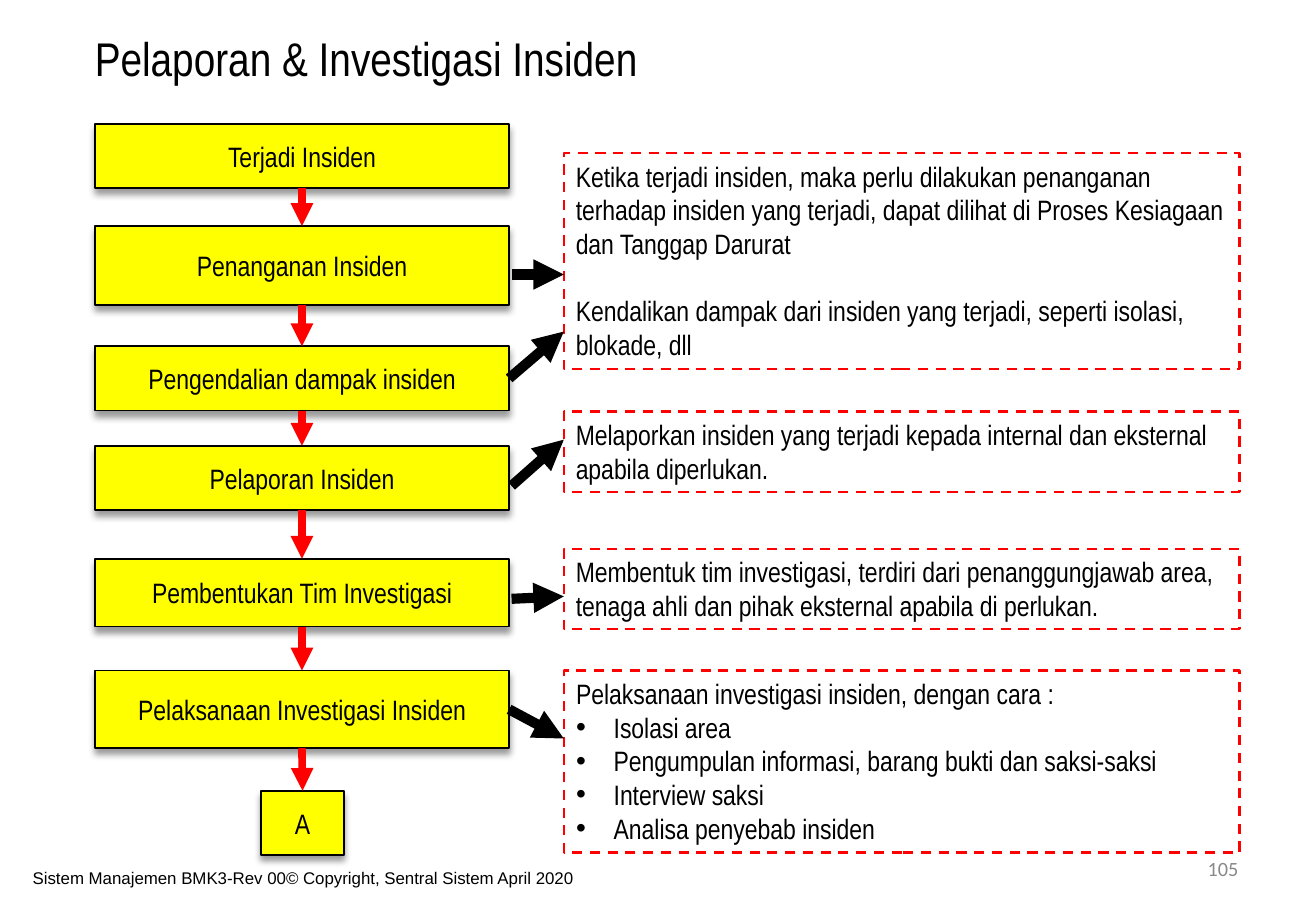
from dataclasses import dataclass

from lxml import etree
from pptx import Presentation
from pptx.dml.color import RGBColor
from pptx.enum import dml, shapes, text
from pptx.oxml.ns import qn
from pptx.util import Inches, Pt


@dataclass(frozen=True)
class Theme:
    black: str = "000000"
    red: str = "FF0000"
    yellow: str = "FFFF00"
    grey: str = "898989"
    narrow: str = "Arial Narrow"
    title_size: float = 28
    text_size: float = 16.6
    number_size: float = 12
    footer_size: float = 10
    line_pitch: float = 19.9


@dataclass(frozen=True)
class Box:
    left: float
    top: float
    width: float
    height: float

    @property
    def lengths(self) -> list:
        return [Inches(v) for v in (self.left, self.top, self.width, self.height)]


@dataclass(frozen=True)
class Step:
    label: str
    box: Box


@dataclass(frozen=True)
class Note:
    paragraphs: tuple[str, ...]
    top: float
    height: float
    bulleted: bool = False


@dataclass(frozen=True)
class SideArrow:
    step: int
    start_y: float
    end_y: float


THEME = Theme()
STEP_LEFT, STEP_WIDTH = 0.78, 3.41
NOTE_LEFT, NOTE_WIDTH = 4.64, 5.56
ARROW_LEFT = 4.21
JOIN_TOLERANCE = 0.03

STEPS = [
    Step(label, Box(STEP_LEFT, top, STEP_WIDTH, height))
    for label, top, height in (
        ("Terjadi Insiden", 1.02, 0.53),
        ("Penanganan Insiden", 1.86, 0.65),
        ("Pengendalian dampak insiden", 2.85, 0.53),
        ("Pelaporan Insiden", 3.67, 0.53),
        ("Pembentukan Tim Investigasi", 4.6, 0.56),
        ("Pelaksanaan Investigasi Insiden", 5.52, 0.64),
    )
] + [Step("A", Box(2.15, 6.51, 0.68, 0.53))]

NOTES = [
    Note(("Ketika terjadi insiden, maka perlu dilakukan penanganan terhadap insiden "
          "yang terjadi, dapat dilihat di Proses Kesiagaan dan Tanggap Darurat",
          "Kendalikan dampak dari insiden yang terjadi, seperti isolasi, blokade, dll"),
         1.26, 1.78),
    Note(("Melaporkan insiden yang terjadi kepada internal dan eksternal "
          "apabila diperlukan.",), 3.39, 0.66),
    Note(("Membentuk tim investigasi, terdiri dari penanggungjawab area, "
          "tenaga ahli dan pihak eksternal apabila di perlukan.",), 4.52, 0.66),
    Note(("Pelaksanaan investigasi insiden, dengan cara :",
          "Isolasi area",
          "Pengumpulan informasi, barang bukti dan saksi-saksi",
          "Interview saksi",
          "Analisa penyebab insiden"), 5.52, 1.5, bulleted=True),
]

SIDE_ARROWS = [
    SideArrow(1, 2.26, 2.26),
    SideArrow(2, 3.12, 2.73),
    SideArrow(3, 4.0, 3.62),
    SideArrow(4, 4.93, 4.91),
    SideArrow(5, 5.86, 6.08),
]


def place(shape, box: Box) -> None:
    shape.left, shape.top, shape.width, shape.height = box.lengths


def write(shape, paragraphs, size, color=THEME.black, font=THEME.narrow,
          align=text.PP_ALIGN.LEFT, anchor=text.MSO_ANCHOR.TOP, gap=0, bulleted=False) -> None:
    """Fill the shape with paragraphs; when bulleted, all but the first get a bullet."""
    frame = shape.text_frame
    frame.word_wrap = True
    frame.auto_size = text.MSO_AUTO_SIZE.NONE
    frame.vertical_anchor = anchor
    frame.text = "\n".join(paragraphs)
    for index, paragraph in enumerate(frame.paragraphs):
        if bulleted:
            set_bullet(paragraph, index > 0)
        paragraph.alignment = align
        paragraph.space_before = Pt(gap if index else 0)
        paragraph.font.name = font
        paragraph.font.size = Pt(size)
        paragraph.font.color.rgb = RGBColor.from_string(color)


def set_bullet(paragraph, shown: bool) -> None:
    properties = paragraph._p.get_or_add_pPr()
    indent = Inches(0.31) if shown else 0
    properties.set("marL", str(indent))
    properties.set("indent", str(-indent))
    if shown:
        etree.SubElement(properties, qn("a:buFont"), typeface="Arial")
        etree.SubElement(properties, qn("a:buChar"), char="•")
    else:
        etree.SubElement(properties, qn("a:buNone"))


def set_line(shape, color: str, width: float) -> None:
    shape.line.color.rgb = RGBColor.from_string(color)
    shape.line.width = Pt(width)


def add_shadow(shape) -> None:
    effects = etree.SubElement(shape.element.spPr, qn("a:effectLst"))
    shadow = etree.SubElement(effects, qn("a:outerShdw"), blurRad=str(Pt(4)),
                              dist=str(Pt(3)), dir="5400000", rotWithShape="0")
    color = etree.SubElement(shadow, qn("a:srgbClr"), val=THEME.black)
    etree.SubElement(color, qn("a:alpha"), val="40000")


def add_step(slide, step: Step):
    shape = slide.shapes.add_shape(shapes.MSO_SHAPE.RECTANGLE, *step.box.lengths)
    shape.fill.solid()
    shape.fill.fore_color.rgb = RGBColor.from_string(THEME.yellow)
    set_line(shape, THEME.black, 1)
    add_shadow(shape)
    write(shape, [step.label], THEME.text_size, align=text.PP_ALIGN.CENTER,
          anchor=text.MSO_ANCHOR.MIDDLE)
    return shape


def add_note(slide, note: Note) -> None:
    box = Box(NOTE_LEFT, note.top, NOTE_WIDTH, note.height)
    if note.bulleted:
        shape = slide.placeholders[1]
        place(shape, box)
    else:
        shape = slide.shapes.add_shape(shapes.MSO_SHAPE.RECTANGLE, *box.lengths)
        shape.shadow.inherit = False
    shape.fill.background()
    set_line(shape, THEME.red, 1.5)
    shape.line.dash_style = dml.MSO_LINE.DASH
    write(shape, note.paragraphs, THEME.text_size, bulleted=note.bulleted,
          gap=0 if note.bulleted else THEME.line_pitch)


def add_arrow(slide, start: tuple[float, float], end: tuple[float, float],
              color: str, width: float):
    arrow = slide.shapes.add_connector(shapes.MSO_CONNECTOR.STRAIGHT,
                                       *(Inches(v) for v in start + end))
    set_line(arrow, color, width)
    properties = arrow.element.spPr
    etree.SubElement(properties.find(qn("a:ln")), qn("a:tailEnd"), type="triangle")
    etree.SubElement(properties, qn("a:effectLst"))
    return arrow


def add_label(slide, label: str, box: Box, size: float, **style) -> None:
    write(slide.shapes.add_textbox(*box.lengths), [label], size, **style)


def main() -> None:
    presentation = Presentation()
    presentation.slide_width, presentation.slide_height = Inches(10.83), Inches(7.5)
    slide = presentation.slides.add_slide(presentation.slide_layouts[1])

    place(slide.shapes.title, Box(0.68, 0.19, 7.91, 0.57))
    write(slide.shapes.title, ["Pelaporan & Investigasi Insiden"], THEME.title_size)

    step_shapes = [add_step(slide, step) for step in STEPS]
    for note in NOTES:
        add_note(slide, note)

    for upper, lower in zip(step_shapes, step_shapes[1:]):
        arrow = add_arrow(slide, (0, 0), (0, 0), THEME.red, 4.5)
        arrow.begin_connect(upper, 2)
        arrow.end_connect(lower, 0)
    for side in SIDE_ARROWS:
        arrow = add_arrow(slide, (ARROW_LEFT, side.start_y), (NOTE_LEFT, side.end_y),
                          THEME.black, 6)
        box = STEPS[side.step].box
        if abs(box.top + box.height / 2 - side.start_y) < JOIN_TOLERANCE:
            arrow.begin_connect(step_shapes[side.step], 3)

    add_label(slide, "105", Box(7.76, 6.95, 2.53, 0.4), THEME.number_size, color=THEME.grey,
              font="Calibri", align=text.PP_ALIGN.RIGHT, anchor=text.MSO_ANCHOR.MIDDLE)
    add_label(slide, "Sistem Manajemen BMK3-Rev 00© Copyright, Sentral Sistem April 2020",
              Box(0.17, 7.09, 5.25, 0.4), THEME.footer_size, font="Arial")
    presentation.save("out.pptx")


if __name__ == "__main__":
    main()
